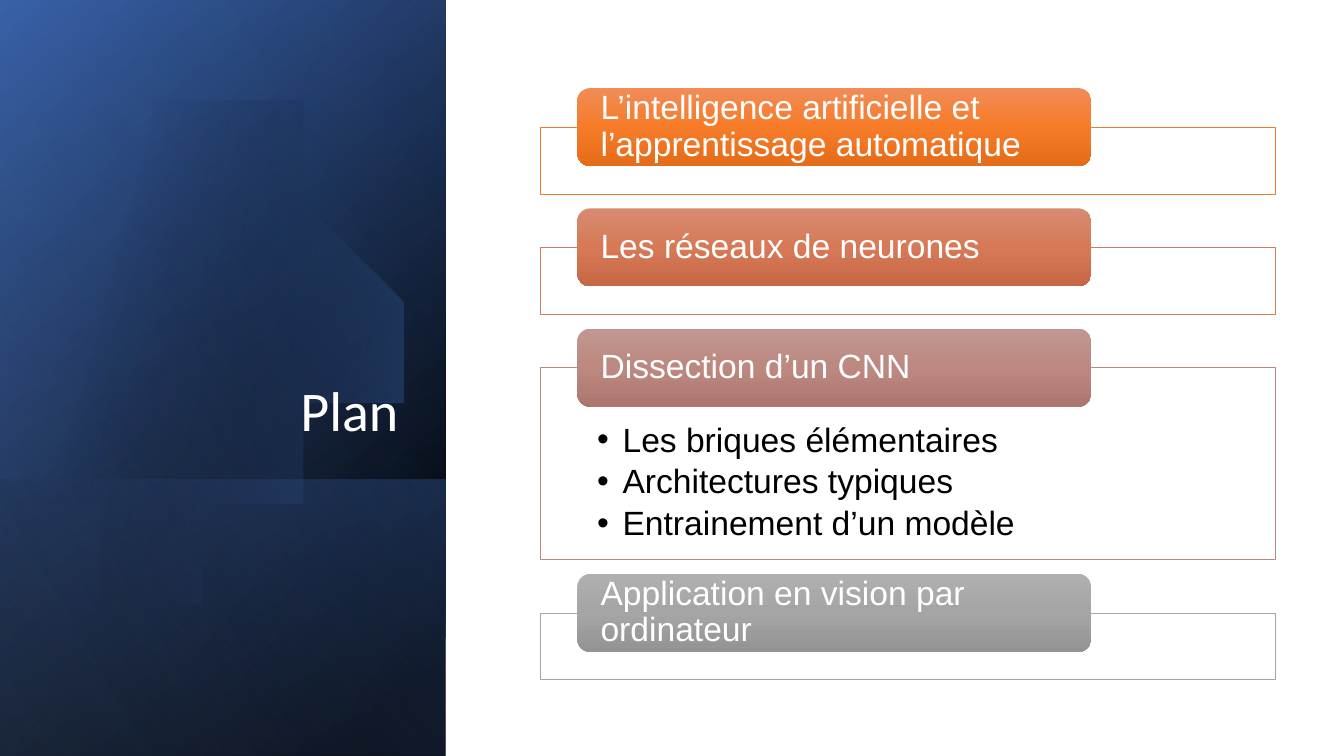
import lxml.etree
import pptx
import pptx.dml.color
import pptx.enum.shapes
import pptx.enum.text
import pptx.oxml.ns
import pptx.util

Cm = pptx.util.Cm
Pt = pptx.util.Pt
qn = pptx.oxml.ns.qn
SHAPES = pptx.enum.shapes.MSO_SHAPE
ANCHOR = pptx.enum.text.MSO_ANCHOR
ALIGN = pptx.enum.text.PP_ALIGN

SLIDE_WIDTH, SLIDE_HEIGHT = 33.87, 19.05
PANEL_WIDTH = 11.23
BAND_HEIGHT = 6.96
BOX_LEFT, BOX_WIDTH, BOX_HEIGHT, BOX_GAP = 13.61, 18.52, 1.68, 1.35
FIRST_BOX_TOP = 3.21
LIST_BOX_HEIGHT = 4.83
TAB_LEFT, TAB_WIDTH, TAB_HEIGHT, TAB_RISE = 14.55, 12.95, 1.97, 0.99

PANEL_LAYERS = [
    (0, SLIDE_HEIGHT, 50, [(8, "000000", 100), (100, "2F5597", 100)]),
    (0, SLIDE_HEIGHT, 30, [(0, "000000", 0), (99, "4472C4", 46)]),
    (SLIDE_HEIGHT - BAND_HEIGHT, BAND_HEIGHT, 130,
     [(2, "4472C4", 29), (100, "000000", 30)]),
]
PANEL_SHEEN = (0, SLIDE_HEIGHT, 120, [(0, "000000", 0), (99, "8FAADC", 11)])

DISC_START = (1.49, 1.1)
DISC_CURVES = [
    [(2.46, 1.12), (3.35, 1.77), (3.63, 2.75)],
    [(3.98, 3.97), (3.28, 5.23), (2.07, 5.58)],
    [(1.31, 5.8), (0.53, 5.61), (-0.03, 5.14)],
    [(-0.15, 5.03)],
    [(-0.15, 1.75)],
    [(0, 1.61)],
    [(0.23, 1.42), (0.5, 1.28), (0.8, 1.19)],
    [(1.03, 1.13), (1.26, 1.1), (1.49, 1.1)],
]

SECTIONS = [
    ("L’intelligence artificielle et l’apprentissage automatique",
     "ED7D31", ["F18C57", "F67B28", "E56C19"], []),
    ("Les réseaux de neurones",
     "D17B5C", ["D78B72", "D77956", "C66846"], []),
    ("Dissection d’un CNN",
     "B98A82", ["C19791", "BC8880", "AA766E"],
     ["Les briques élémentaires", "Architectures typiques",
      "Entrainement d’un modèle"]),
    ("Application en vision par ordinateur",
     "A5A5A5", ["AFAFAF", "A5A5A5", "939393"], []),
]


def rgb(colour):
    return pptx.dml.color.RGBColor.from_string(colour)


def apply_format(target, values):
    for name, value in values.items():
        setattr(target, name, value)


def place(shape, left, top, width, height):
    apply_format(shape, {"left": Cm(left), "top": Cm(top),
                         "width": Cm(width), "height": Cm(height)})


def fill_gradient(shape, angle, stops):
    shape.fill.gradient()
    gradient = shape._element.spPr.find(qn("a:gradFill"))
    stop_list = gradient.find(qn("a:gsLst"))
    for old_stop in list(stop_list):
        stop_list.remove(old_stop)
    for position, colour, opacity in stops:
        stop = lxml.etree.SubElement(stop_list, qn("a:gs"), pos=str(position * 1000))
        tint = lxml.etree.SubElement(stop, qn("a:srgbClr"), val=colour)
        lxml.etree.SubElement(tint, qn("a:alpha"), val=str(opacity * 1000))
    gradient.find(qn("a:lin")).set("ang", str(angle * 60000))


def add_block(slide, kind, left, top, width, height):
    block = slide.shapes.add_shape(kind, Cm(left), Cm(top), Cm(width), Cm(height))
    block.shadow.inherit = False
    block.line.fill.background()
    return block


def add_panel_layer(slide, top, height, angle, stops):
    left = (PANEL_WIDTH - height) / 2
    turned_top = top + (height - PANEL_WIDTH) / 2
    layer = add_block(slide, SHAPES.RECTANGLE, left, turned_top, height, PANEL_WIDTH)
    layer.rotation = 90
    layer._element.spPr.find(qn("a:xfrm")).set("flipH", "1")
    fill_gradient(layer, angle, stops)


def curve_points(start, controls, steps=16):
    if len(controls) == 1:
        return controls
    corners = [start, *controls]
    points = []
    for step in range(1, steps + 1):
        t = step / steps
        weights = [(1 - t) ** 3, 3 * t * (1 - t) ** 2, 3 * t * t * (1 - t), t ** 3]
        points.append(tuple(sum(w * corner[axis] for w, corner in zip(weights, corners))
                            for axis in (0, 1)))
    return points


def add_disc(slide):
    outline = []
    start = DISC_START
    for controls in DISC_CURVES:
        outline += curve_points(start, controls)
        start = controls[-1]
    builder = slide.shapes.build_freeform(*DISC_START, scale=Cm(2.54))
    builder.add_line_segments(outline, close=True)
    disc = builder.convert_to_shape()
    disc.shadow.inherit = False
    disc.line.fill.background()
    fill_gradient(disc, 14, [(29, "000000", 0), (100, "4472C4", 43)])


def set_frame(frame, anchor, left=0.25, top=0.13, right=0.25, bottom=0.13):
    apply_format(frame, {
        "word_wrap": True, "auto_size": pptx.enum.text.MSO_AUTO_SIZE.NONE,
        "vertical_anchor": anchor,
        "margin_left": Cm(left), "margin_top": Cm(top),
        "margin_right": Cm(right), "margin_bottom": Cm(bottom)})


def write(paragraph, text, font, size, colour, alignment=ALIGN.LEFT, after=0):
    apply_format(paragraph, {"alignment": alignment, "line_spacing": 0.9,
                             "space_before": Pt(0), "space_after": Pt(after)})
    run = paragraph.add_run()
    run.text = text
    apply_format(run.font, {"name": font, "size": Pt(size), "bold": False})
    run.font.color.rgb = rgb(colour)


def add_bullet(paragraph):
    properties = paragraph._p.get_or_add_pPr()
    apply_format_xml = {"marL": Cm(0.64), "indent": Cm(-0.64)}
    for name, value in apply_format_xml.items():
        properties.set(name, str(int(value)))
    lxml.etree.SubElement(properties, qn("a:buFont"), typeface="Arial")
    lxml.etree.SubElement(properties, qn("a:buChar"), char="•")


def bring_to_front(shape):
    shape._element.getparent().append(shape._element)


def fill_title(title):
    bring_to_front(title)
    place(title, 1.63, 4.67, 8.66, 6.65)
    set_frame(title.text_frame, ANCHOR.BOTTOM)
    write(title.text_frame.paragraphs[0], "Plan", "Calibri", 40, "FFFFFF", ALIGN.RIGHT)


def fill_list(body, top, topics):
    bring_to_front(body)
    place(body, BOX_LEFT, top, BOX_WIDTH, LIST_BOX_HEIGHT)
    frame = body.text_frame
    set_frame(frame, ANCHOR.TOP, 1.44, 1.39, 1.44, 0.49)
    for index, topic in enumerate(topics):
        paragraph = frame.add_paragraph() if index else frame.paragraphs[0]
        add_bullet(paragraph)
        write(paragraph, topic, "Arial", 24, "000000", after=4)


def add_section(slide, body, top, heading, border, shades, topics):
    height = LIST_BOX_HEIGHT if topics else BOX_HEIGHT
    box = add_block(slide, SHAPES.RECTANGLE, BOX_LEFT, top, BOX_WIDTH, height)
    box.fill.solid()
    box.fill.fore_color.rgb = rgb("FFFFFF")
    box.line.color.rgb = rgb(border)
    box.line.width = Pt(0.5)
    if topics:
        fill_list(body, top, topics)
    tab = add_block(slide, SHAPES.ROUNDED_RECTANGLE,
                    TAB_LEFT, top - TAB_RISE, TAB_WIDTH, TAB_HEIGHT)
    fill_gradient(tab, 90, [(50 * i, shade, 100) for i, shade in enumerate(shades)])
    set_frame(tab.text_frame, ANCHOR.MIDDLE, 0.49, 0, 0.49, 0)
    write(tab.text_frame.paragraphs[0], heading, "Arial", 24, "FFFFFF")
    return top + height + BOX_GAP


def main():
    presentation = pptx.Presentation()
    apply_format(presentation, {"slide_width": Cm(SLIDE_WIDTH),
                                "slide_height": Cm(SLIDE_HEIGHT)})
    slide = presentation.slides.add_slide(presentation.slide_layouts[1])
    title, body = slide.placeholders
    for layer in PANEL_LAYERS:
        add_panel_layer(slide, *layer)
    add_disc(slide)
    add_panel_layer(slide, *PANEL_SHEEN)
    fill_title(title)
    top = FIRST_BOX_TOP
    for section in SECTIONS:
        top = add_section(slide, body, top, *section)
    presentation.save("out.pptx")


if __name__ == "__main__":
    main()
